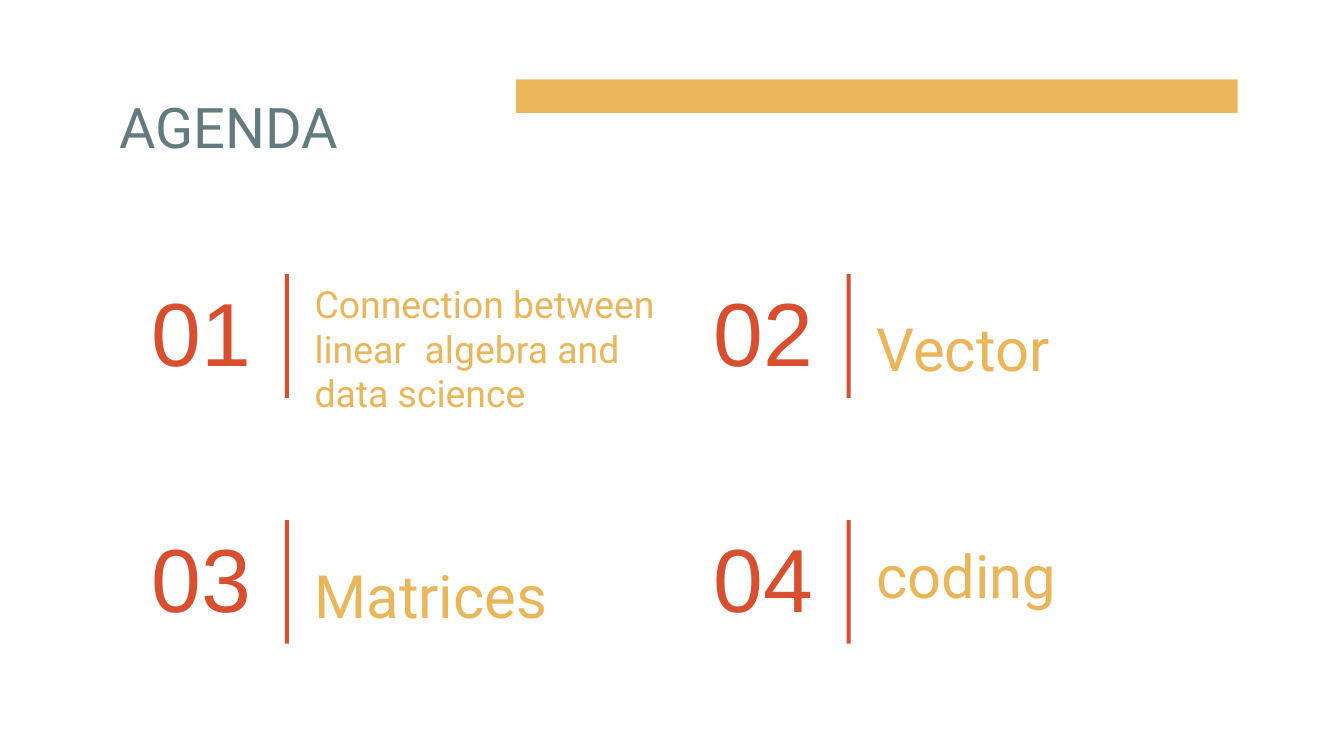
"""Build an agenda slide with four numbered topics in a two by two grid."""
from pptx import Presentation
from pptx.dml.color import RGBColor
from pptx.enum.shapes import MSO_SHAPE
from pptx.enum.text import MSO_ANCHOR, MSO_AUTO_SIZE, PP_ALIGN
from pptx.util import Inches, Pt

RECT = MSO_SHAPE.RECTANGLE
TOP, BOTTOM = MSO_ANCHOR.TOP, MSO_ANCHOR.BOTTOM
LEFT, RIGHT = PP_ALIGN.LEFT, PP_ALIGN.RIGHT
FIXED = MSO_AUTO_SIZE.NONE
GOLD = RGBColor(0xEB, 0xB5, 0x5A)
SLATE = RGBColor(0x63, 0x7B, 0x7F)
RED = RGBColor(0xD8, 0x4E, 0x2E)
LEFT_COL, COL_STEP = 0.96, 4.18
TOP_ROW, ROW_STEP = 2.04, 1.83
ROW_H = 0.92


def write(shape, text, box, size, color, font="Roboto", align=LEFT, anchor=TOP, after=0):
    shape.left, shape.top, shape.width, shape.height = map(Inches, box)
    frame = shape.text_frame
    frame.text = text
    frame.word_wrap = True
    frame.auto_size = FIXED
    frame.vertical_anchor = anchor
    frame.margin_left = frame.margin_right = Inches(0.1)
    frame.margin_top = frame.margin_bottom = Inches(0.1)
    para = frame.paragraphs[0]
    para.alignment = align
    para.space_before, para.space_after = Pt(0), Pt(after)
    props = para._p.get_or_add_pPr()
    props.set("marL", "0")
    props.set("indent", "0")
    props.insert_element_before(props.makeelement(
        "{http://schemas.openxmlformats.org/drawingml/2006/main}buNone", {}),
        "a:tabLst", "a:defRPr", "a:extLst")
    for run in para.runs:
        run.font.name, run.font.size = font, Pt(size)
        run.font.bold = False
        run.font.color.rgb = color


def block(box, color):
    shape = slide.shapes.add_shape(RECT, *map(Inches, box))
    shape.shadow.inherit = False
    shape.fill.solid()
    shape.fill.fore_color.rgb = color
    shape.line.fill.background()


deck = Presentation()
deck.slide_width = Inches(10)
deck.slide_height = deck.slide_width * 9 // 16
slide = deck.slides.add_slide(deck.slide_layouts.get_by_name("Comparison"))

block((3.84, 0.59, 5.37, 0.25), GOLD)
write(slide.shapes.title, "AGENDA", (0.79, 0.59, 3.27, 0.63), 30, SLATE)

topics = [
    ("Connection between linear  algebra and \vdata science", 20, -0.05, 1.29),
    ("Vector", 32, 0.18, 0.56),
    ("Matrices", 32, 0.19, 0.53),
    ("coding", 32, 0.04, 0.99),
]
bodies = list(slide.placeholders)[1:]
for i, (body, (topic, size, shift, high)) in enumerate(zip(bodies, topics)):
    row, col = divmod(i, 2)
    x, y = LEFT_COL + col * COL_STEP, TOP_ROW + row * ROW_STEP
    label = slide.shapes.add_textbox(0, 0, 0, 0)
    write(label, f"{i + 1:02}", (x, y, 1.01, ROW_H), 48, RED,
          font="Arial", align=RIGHT, anchor=BOTTOM)
    block((x + 1.16, y, 0.03, ROW_H), RED)
    write(body, topic, (x + 1.28, y + shift, 2.76, high), size, GOLD, after=16)

deck.save("out.pptx")
